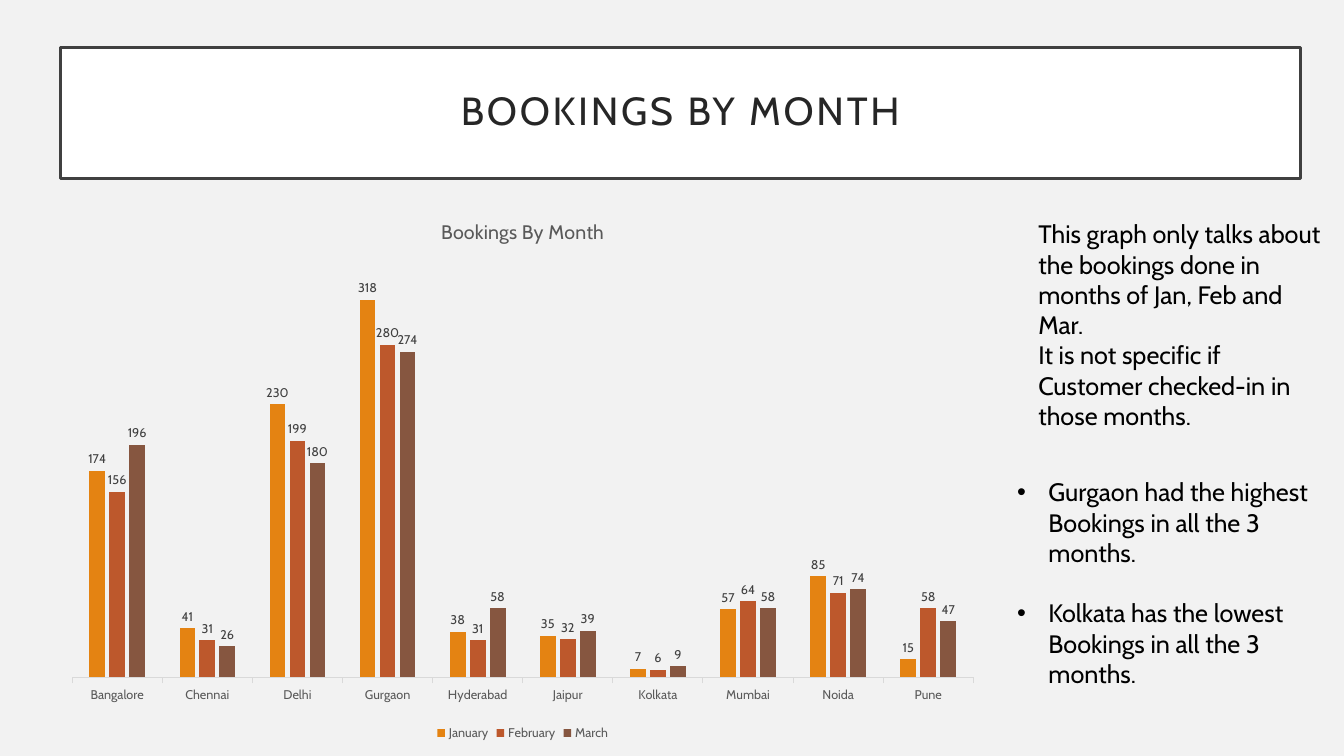
from dataclasses import dataclass

from lxml.etree import SubElement
from pptx import Presentation
from pptx.chart.data import CategoryChartData
from pptx.dml.color import RGBColor as Color
from pptx.enum.chart import XL_CHART_TYPE as ChartType
from pptx.enum.chart import XL_LABEL_POSITION as LabelPosition
from pptx.enum.chart import XL_LEGEND_POSITION as LegendPosition
from pptx.enum.chart import XL_TICK_LABEL_POSITION as TickLabels
from pptx.enum.chart import XL_TICK_MARK as TickMark
from pptx.enum.text import MSO_ANCHOR as Anchor
from pptx.enum.text import MSO_AUTO_SIZE as AutoSize
from pptx.enum.text import PP_ALIGN as Align
from pptx.oxml.ns import qn
from pptx.util import Inches, Pt


@dataclass(frozen=True)
class Theme:
    font: str = "Cabin"
    background: str = "F2F2F2"
    panel: str = "FFFFFF"
    frame: str = "404040"
    heading: str = "262626"
    body: str = "000000"
    muted: str = "595959"
    value: str = "404040"
    axis: str = "D9D9D9"
    series: tuple = ("E48312", "BD582C", "865640")
    heading_size: float = 28
    body_size: float = 18
    chart_title_size: float = 14
    chart_size: float = 10
    label_size: float = 9


CITIES = ("Bangalore", "Chennai", "Delhi", "Gurgaon", "Hyderabad",
          "Jaipur", "Kolkata", "Mumbai", "Noida", "Pune")
BOOKINGS = {
    "January": (174, 41, 230, 318, 38, 35, 7, 57, 85, 15),
    "February": (156, 31, 199, 280, 31, 32, 6, 64, 71, 58),
    "March": (196, 26, 180, 274, 58, 39, 9, 58, 74, 47),
}
SCOPE = (
    "This graph only talks about the bookings done in months of Jan, Feb and Mar.",
    "It is not specific if Customer checked-in in those months.",
)
FINDINGS = (
    "Gurgaon had the highest Bookings in all the 3 months.",
    "Kolkata has the lowest Bookings in all the 3 months.",
)


def apply(target, **values):
    for name, value in values.items():
        setattr(target, name, value)


class SlideBuilder:
    def __init__(self, deck, theme):
        self.theme = theme
        self.page = deck.slides.add_slide(deck.slide_layouts[5])
        self.paint(self.page.background.fill, theme.background)

    def paint(self, fill, color):
        fill.solid()
        fill.fore_color.rgb = Color.from_string(color)

    def style(self, font, size, color):
        apply(font, name=self.theme.font, size=Pt(size), bold=False)
        font.color.rgb = Color.from_string(color)

    def title(self, text, area):
        theme, box = self.theme, self.page.shapes.title
        apply(box, **area)
        self.paint(box.fill, theme.panel)
        self.paint(box.line.fill, theme.frame)
        box.line.width = Pt(2.5)
        margins = ("margin_left", "margin_top", "margin_right", "margin_bottom")
        apply(box.text_frame, text=text, word_wrap=True, auto_size=AutoSize.NONE,
              vertical_anchor=Anchor.MIDDLE, **dict.fromkeys(margins, Inches(0.2)))
        para = box.text_frame.paragraphs[0]
        apply(para, alignment=Align.CENTER, line_spacing=0.9)
        span = para.runs[0]
        self.style(span.font, theme.heading_size, theme.heading)
        span.font._element.set("spc", "200")

    def text(self, lines, area, bullets=False, gap=0):
        """Add one paragraph per line, with gap points between them."""
        box = self.page.shapes.add_textbox(*area.values())
        frame = box.text_frame
        apply(frame, word_wrap=True, auto_size=AutoSize.SHAPE_TO_FIT_TEXT)
        for index, line in enumerate(lines):
            para = frame.add_paragraph() if index else frame.paragraphs[0]
            if index and gap:
                para.space_before = Pt(gap)
            if bullets:
                self.bullet(para)
            span = para.add_run()
            span.text = line
            self.style(span.font, self.theme.body_size, self.theme.body)

    def bullet(self, para):
        properties = para._p.get_or_add_pPr()
        indent = Inches(0.31)
        properties.set("marL", str(indent))
        properties.set("indent", str(-indent))
        SubElement(properties, qn("a:buFont")).set("typeface", "Arial")
        SubElement(properties, qn("a:buChar")).set("char", "•")

    def column_chart(self, title, categories, series, area):
        theme = self.theme
        data = CategoryChartData()
        data.categories = categories
        for name, values in series.items():
            data.add_series(name, values)
        chart = self.page.shapes.add_chart(
            ChartType.COLUMN_CLUSTERED, *area.values(), data).chart
        self.style(chart.font, theme.chart_size, theme.body)

        apply(chart, has_title=True, has_legend=True)
        chart.chart_title.include_in_layout = False
        heading = chart.chart_title.text_frame
        heading.text = title
        self.style(heading.paragraphs[0].runs[0].font,
                   theme.chart_title_size, theme.muted)
        apply(chart.legend, position=LegendPosition.BOTTOM, include_in_layout=False)
        self.style(chart.legend.font, theme.label_size, theme.muted)

        apply(chart.value_axis, visible=False, has_major_gridlines=False,
              minimum_scale=0, maximum_scale=350)
        axis = chart.category_axis
        apply(axis, major_tick_mark=TickMark.OUTSIDE, minor_tick_mark=TickMark.NONE,
              tick_label_position=TickLabels.NEXT_TO_AXIS, has_major_gridlines=False)
        self.style(axis.tick_labels.font, theme.label_size, theme.muted)
        self.paint(axis.format.line.fill, theme.axis)
        axis.format.line.width = Pt(0.75)

        plot = chart.plots[0]
        apply(plot, gap_width=219, overlap=-27, vary_by_categories=False)
        for columns, color in zip(plot.series, theme.series):
            self.paint(columns.format.fill, color)
            labels = columns.data_labels
            apply(labels, show_value=True, position=LabelPosition.OUTSIDE_END)
            self.style(labels.font, theme.label_size, theme.value)


def area(left, top, width, height):
    return {"left": Inches(left), "top": Inches(top),
            "width": Inches(width), "height": Inches(height)}


def main():
    deck = Presentation()
    apply(deck, slide_width=Inches(13.33), slide_height=Inches(7.5))
    builder = SlideBuilder(deck, Theme())
    builder.title("BOOKINGS BY MONTH", area(0.6, 0.47, 12.3, 1.3))
    builder.text(FINDINGS, area(9.99, 4.68, 3.15, 2.22), bullets=True, gap=21.6)
    builder.column_chart("Bookings By Month", CITIES, BOOKINGS,
                         area(0.53, 1.97, 9.31, 5.42))
    builder.text(SCOPE, area(10.2, 2.12, 3.02, 1.92))
    deck.save("out.pptx")


if __name__ == "__main__":
    main()
